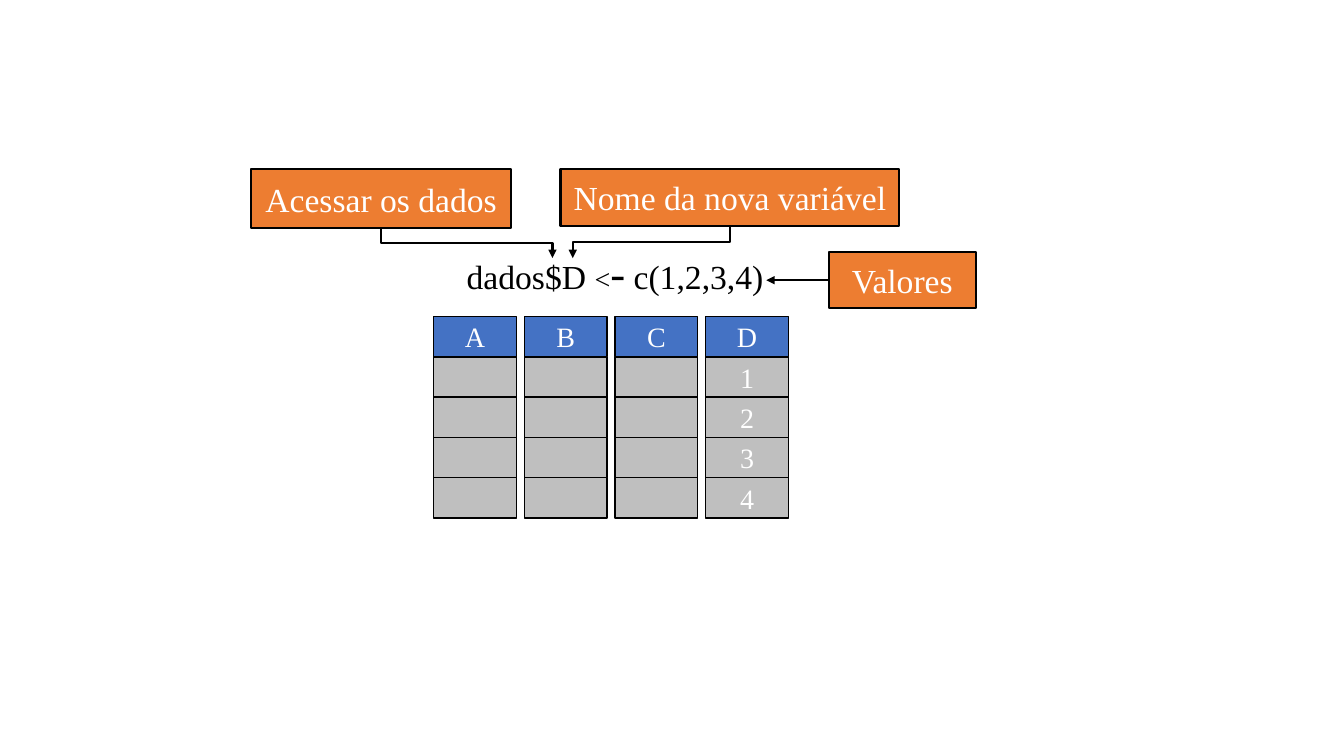
from dataclasses import dataclass

from pptx import Presentation
from pptx.dml.color import RGBColor
from pptx.enum import shapes, text
from pptx.oxml import ns, xmlchemy
from pptx.util import Pt

# Content
COLUMNS = {
    "A": ["", "", "", ""],
    "B": ["", "", "", ""],
    "C": ["", "", "", ""],
    "D": ["1", "2", "3", "4"],
}
CODE = [("dados$D ", 24), ("<", 20), ("-", 32), (" c(1,2,3,4)", 24)]
CODE_BOX = (378, 238, 464, 64)
LABELS = {
    "variable": ("Nome da nova variável", (556, 168, 336, 56)),
    "values": ("Valores", (822, 250, 146, 56)),
    "access": ("Acessar os dados", (249, 168, 258, 58)),
}
ELBOW_TIPS = {"variable": (568, 256), "access": (548, 256)}
VALUES_TIP = (760, 278)

# Layout, 100 px to the inch
PX = 9144
GRID_LEFT, GRID_TOP = 430, 314
CELL_W, CELL_H, COLUMN_STEP = 82, 40, 90


@dataclass(frozen=True)
class Theme:
    font: str = "Times New Roman"
    header: str = "4472C4"
    cell: str = "BFBFBF"
    label: str = "ED7D31"
    light: str = "FFFFFF"
    dark: str = "000000"
    cell_size: int = 20
    label_size: int = 24
    cell_line: float = 1
    label_line: float = 1.5


THEME = Theme()


def emu(*lengths):
    return [n * PX for n in lengths]


def format_run(r, size, color):
    r.font.name = THEME.font
    r.font.size = Pt(size)
    r.font.color.rgb = RGBColor.from_string(color)


def add_box(s, box, words, fill, size, line):
    sp = s.shapes.add_shape(shapes.MSO_SHAPE.RECTANGLE, *emu(*box))
    sp.shadow.inherit = False
    sp.fill.solid()
    sp.fill.fore_color.rgb = RGBColor.from_string(fill)
    sp.line.color.rgb = RGBColor.from_string(THEME.dark)
    sp.line.width = Pt(line)
    if words:
        tf = sp.text_frame
        tf.text = words
        tf.word_wrap = False
        tf.vertical_anchor = text.MSO_ANCHOR.MIDDLE
        p = tf.paragraphs[0]
        p.alignment = text.PP_ALIGN.CENTER
        format_run(p.runs[0], size, THEME.light)
    return sp


def add_arrow(s, kind, label, site, tip):
    c = s.shapes.add_connector(kind, 0, 0, *emu(*tip))
    c.begin_connect(label, site)
    c.end_x, c.end_y = emu(*tip)
    c.line.color.rgb = RGBColor.from_string(THEME.dark)
    c.line.width = Pt(THEME.label_line)
    head = xmlchemy.OxmlElement("a:tailEnd")
    head.set("type", "triangle")
    c.line._get_or_add_ln().append(head)
    c.element.spPr.append(xmlchemy.OxmlElement("a:effectLst"))
    return c


def turn_downward(c):
    """Rotate an elbow so that it leaves and arrives vertically."""
    dx, dy = c.end_x - c.begin_x, c.end_y - c.begin_y
    mid_x, mid_y = (c.begin_x + c.end_x) // 2, (c.begin_y + c.end_y) // 2
    c.width, c.height = dy, abs(dx)
    c.left, c.top = mid_x - dy // 2, mid_y - abs(dx) // 2
    xfrm = c.element.spPr.find(ns.qn("a:xfrm"))
    xfrm.set("rot", str((270 if dx > 0 else 90) * 60000))
    xfrm.set("flipH", "1" if dx > 0 else "0")


def add_grid(s):
    for i, (name, values) in enumerate(COLUMNS.items()):
        for j, words in enumerate([name, *values]):
            box = (GRID_LEFT + i * COLUMN_STEP, GRID_TOP + j * CELL_H, CELL_W, CELL_H)
            fill = THEME.cell if j else THEME.header
            add_box(s, box, words, fill, THEME.cell_size, THEME.cell_line)


def add_code(s):
    tf = s.shapes.add_textbox(*emu(*CODE_BOX)).text_frame
    tf.word_wrap = True
    p = tf.paragraphs[0]
    p.alignment = text.PP_ALIGN.CENTER
    for words, size in CODE:
        r = p.add_run()
        r.text = words
        format_run(r, size, THEME.dark)


def main():
    prs = Presentation()
    prs.slide_width, prs.slide_height = emu(1333, 750)
    s = prs.slides.add_slide(prs.slide_layouts[6])
    add_grid(s)
    add_code(s)
    labels = {
        key: add_box(s, box, words, THEME.label, THEME.label_size, THEME.label_line)
        for key, (words, box) in LABELS.items()
    }
    for key, tip in ELBOW_TIPS.items():
        turn_downward(add_arrow(s, shapes.MSO_CONNECTOR.ELBOW, labels[key], 2, tip))
    add_arrow(s, shapes.MSO_CONNECTOR.STRAIGHT, labels["values"], 1, VALUES_TIP)
    prs.save("out.pptx")


if __name__ == "__main__":
    main()
